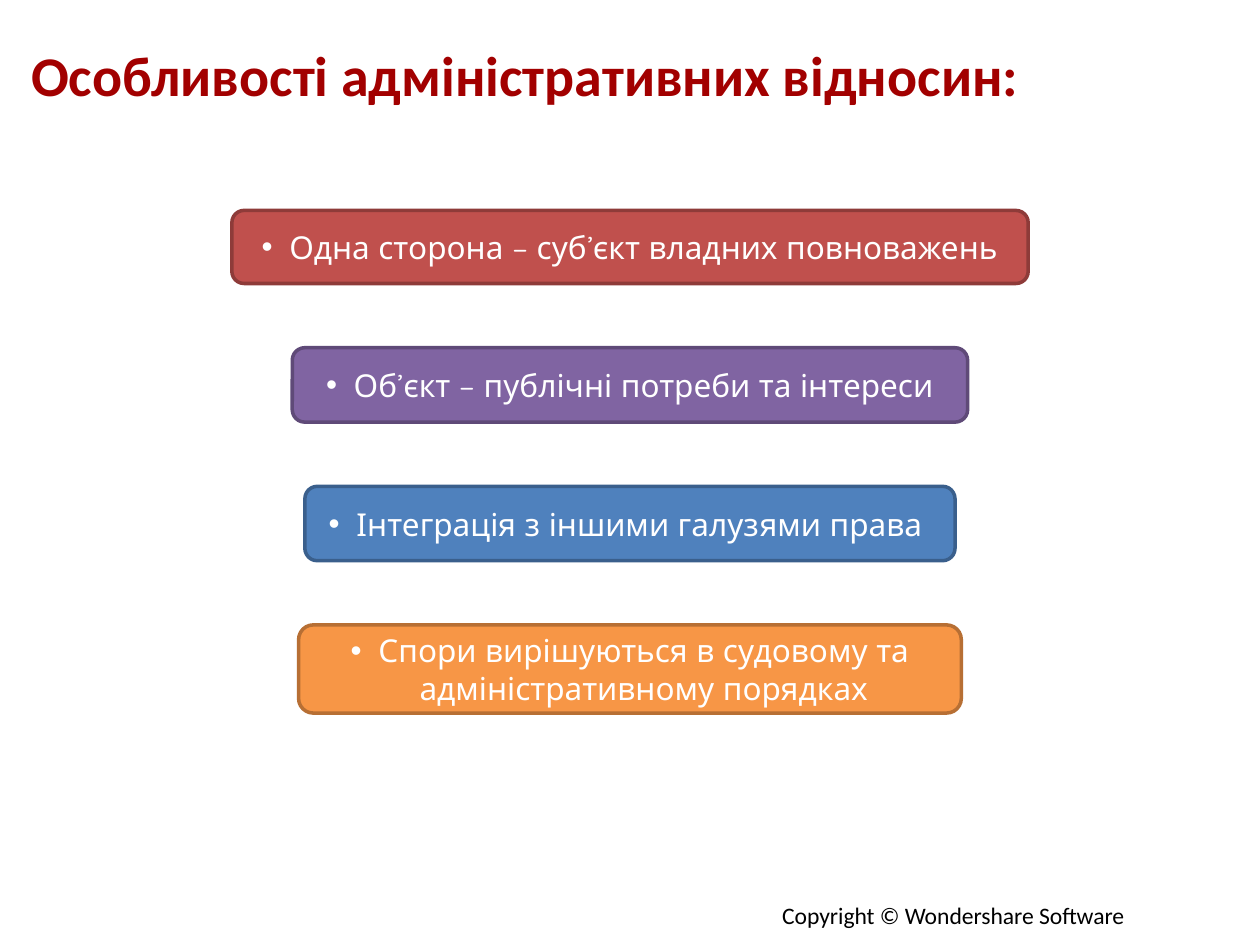
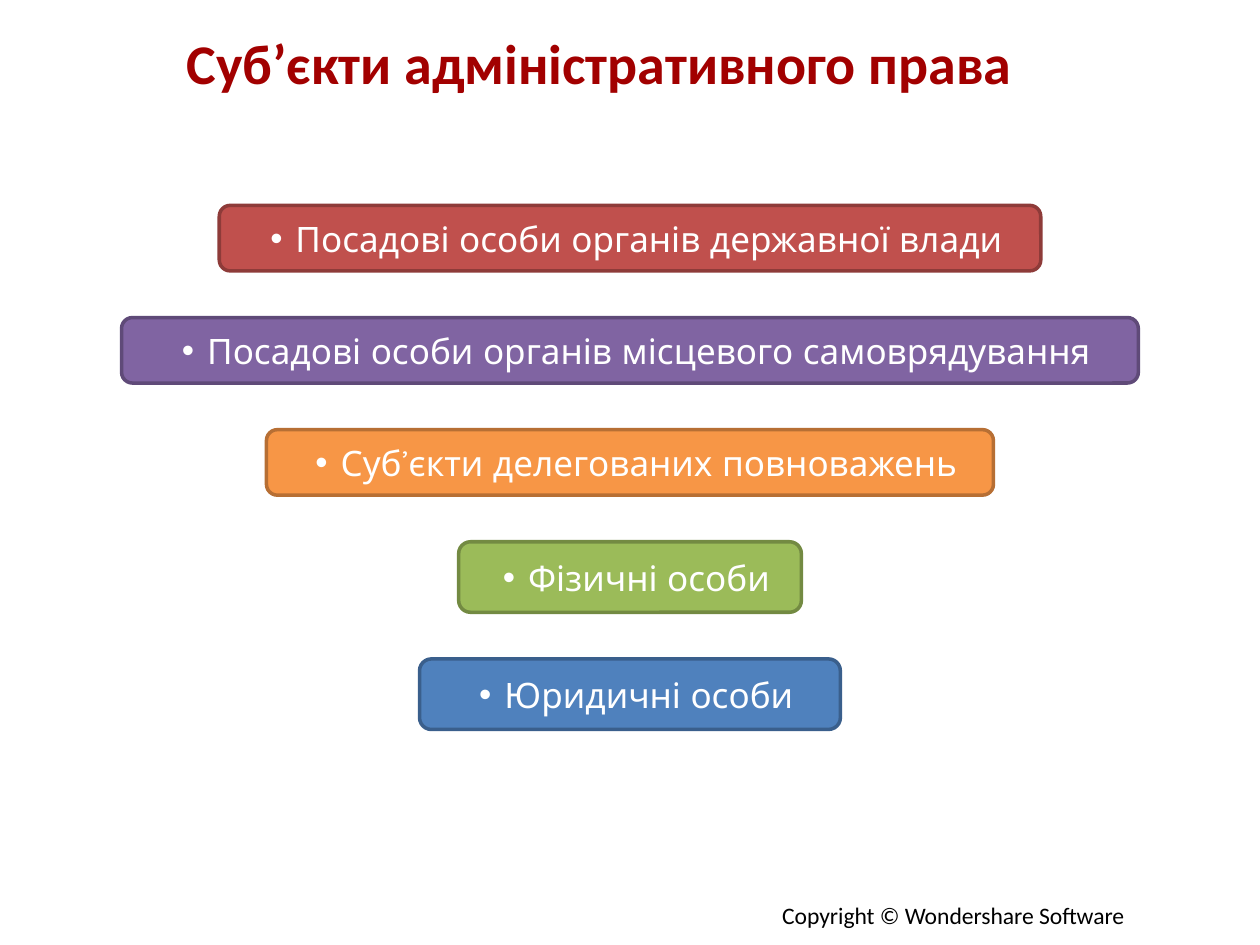
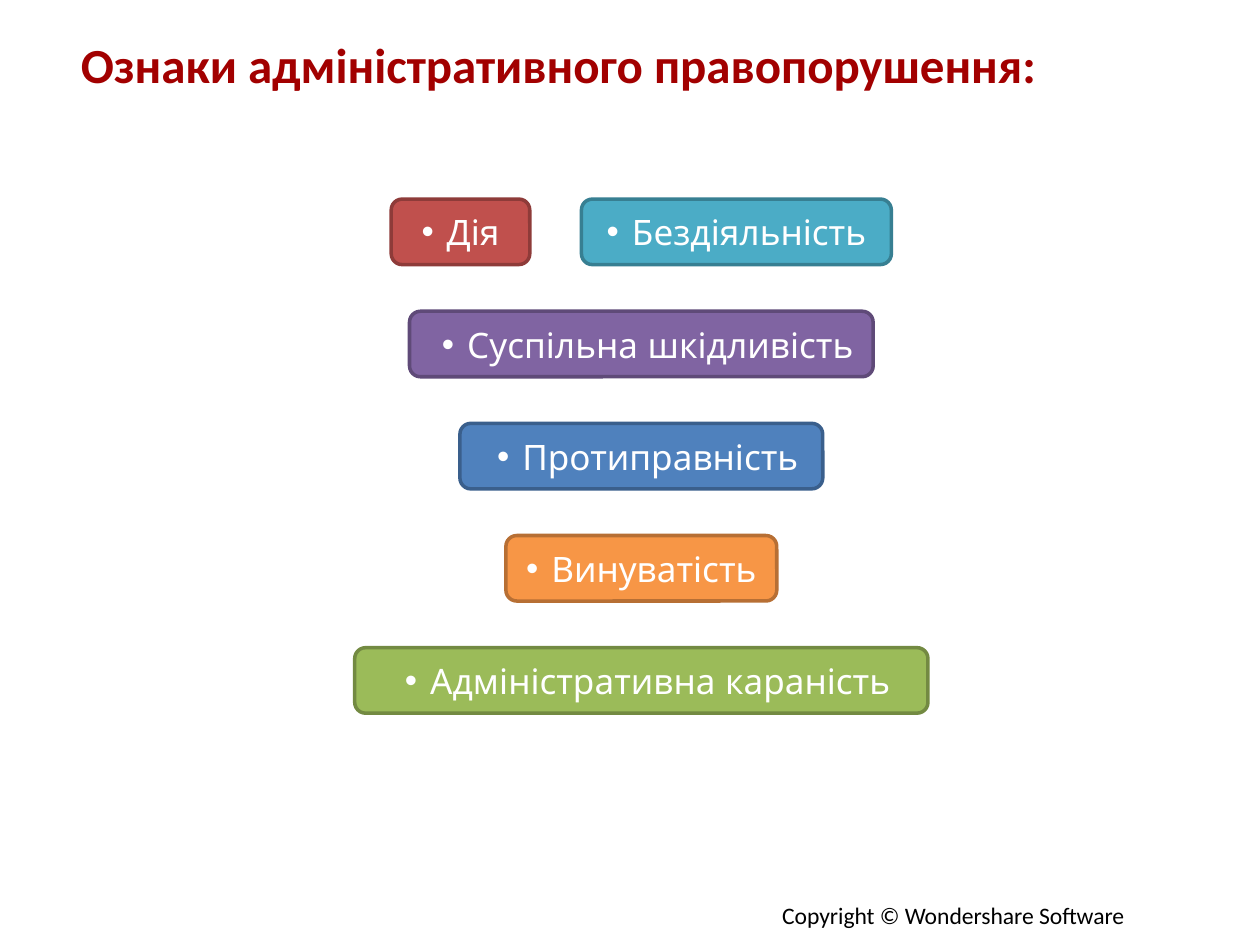
import pptx
import pptx.dml.color
import pptx.enum.shapes
import pptx.enum.text
import pptx.oxml.ns
import pptx.util
from lxml import etree

Inches = pptx.util.Inches
CENTER = pptx.enum.text.PP_ALIGN.CENTER
MIDDLE = pptx.enum.text.MSO_ANCHOR.MIDDLE

# Shared look: fill and outline of each bar colour
TITLE_RED = "A20000"
RED = ("C0504D", "8E3B39")
PURPLE = ("8064A2", "5F4A78")
BLUE = ("4F81BD", "3A5F8C")
ORANGE = ("F79646", "B76F34")
GREEN = ("9BBB59", "738A42")
TEAL = ("4BACC6", "377F92")
SIDE_GAP = 0.41


def color(value):
    return pptx.dml.color.RGBColor.from_string(value)


def add_text(para, text, font, size, text_color, bold=False):
    span = para.add_run()
    span.text = text
    span.font.name = font
    span.font.size = pptx.util.Pt(size)
    span.font.bold = bold
    span.font.color.rgb = color(text_color)


# Each row is (height, bars); each bar is (width, colours, left indent, text)
slides = [
    {
        "title": "Особливості адміністративних відносин:",
        "title_box": (-0.4, 0.25, 9.14, 0.68), "title_size": 32,
        "center": 5, "top": 1.67, "gap": 0.51, "size": 18, "hanging": 0.22,
        "rows": [
            (0.58, [(6.32, RED, 0.22, "Одна сторона – суб’єкт владних повноважень")]),
            (0.59, [(5.36, PURPLE, 0.22, "Об’єкт – публічні потреби та інтереси")]),
            (0.59, [(5.16, BLUE, 0.22, "Інтеграція з іншими галузями права ")]),
            (0.7, [(5.26, ORANGE, 0.22,
                    "Спори вирішуються в судовому та адміністративному порядках")]),
        ],
    },
    {
        "title": "Суб’єкти адміністративного права",
        "title_box": (0.2, 0.15, 9.12, 0.68), "title_size": 32,
        "center": 5, "top": 1.63, "gap": 0.37, "size": 20, "hanging": 0.2,
        "rows": [
            (0.52, [(6.52, RED, 0.3, "Посадові особи органів державної влади")]),
            (0.52, [(8.07, PURPLE, 0.3, "Посадові особи органів місцевого самоврядування")]),
            (0.52, [(5.77, ORANGE, 0.3, "Суб’єкти делегованих повноважень")]),
            (0.56, [(2.72, GREEN, 0.3, "Фізичні особи")]),
            (0.56, [(3.34, BLUE, 0.3, "Юридичні особи")]),
        ],
    },
    {
        "title": "Ознаки адміністративного правопорушення:",
        "title_box": (0.3, 0.15, 8.26, 0.71), "title_size": 28,
        "center": 5.09, "top": 1.58, "gap": 0.37, "size": 20, "hanging": 0.2,
        "rows": [
            (0.52, [(1.1, RED, 0.2, "Дія"), (2.46, TEAL, 0.2, "Бездіяльність")]),
            (0.52, [(3.68, PURPLE, 0.3, "Суспільна шкідливість")]),
            (0.52, [(2.88, BLUE, 0.3, "Протиправність")]),
            (0.52, [(2.15, ORANGE, 0.2, "Винуватість")]),
            (0.52, [(4.55, GREEN, 0.3, "Адміністративна караність")]),
        ],
    },
]

deck = pptx.Presentation()
deck.slide_width = Inches(10)
deck.slide_height = Inches(7.5)

for content in slides:
    page = deck.slides.add_slide(deck.slide_layouts[6])

    # Footer
    box = page.shapes.add_textbox(Inches(6.11), Inches(7.1), Inches(2.97), Inches(0.33))
    box.text_frame.word_wrap = False
    add_text(box.text_frame.paragraphs[0], "Copyright © Wondershare Software",
             "Calibri", 13.5, "000000")

    # Title
    box = page.shapes.add_textbox(*[Inches(length) for length in content["title_box"]])
    box.text_frame.word_wrap = True
    box.text_frame.vertical_anchor = MIDDLE
    para = box.text_frame.paragraphs[0]
    para.alignment = CENTER
    add_text(para, content["title"], "Calibri", content["title_size"], TITLE_RED, bold=True)

    # Rows of bars, each row centred on the same axis
    top = content["top"]
    for height, bars in content["rows"]:
        row_width = sum(bar[0] for bar in bars) + SIDE_GAP * (len(bars) - 1)
        left = content["center"] - row_width / 2
        for width, (fill, outline), indent, text in bars:
            bar = page.shapes.add_shape(
                pptx.enum.shapes.MSO_SHAPE.ROUNDED_RECTANGLE,
                Inches(left), Inches(top), Inches(width), Inches(height))
            bar.shadow.inherit = False
            bar.fill.solid()
            bar.fill.fore_color.rgb = color(fill)
            bar.line.color.rgb = color(outline)
            bar.line.width = pptx.util.Pt(2)
            bar.text_frame.word_wrap = True
            bar.text_frame.vertical_anchor = MIDDLE

            # Bulleted label with a hanging indent
            para = bar.text_frame.paragraphs[0]
            para.alignment = CENTER
            properties = para._p.get_or_add_pPr()
            properties.set("marL", str(Inches(indent)))
            properties.set("indent", str(-Inches(content["hanging"])))
            bullet_font = etree.SubElement(properties, pptx.oxml.ns.qn("a:buFont"))
            bullet_font.set("typeface", "Arial")
            bullet = etree.SubElement(properties, pptx.oxml.ns.qn("a:buChar"))
            bullet.set("char", "•")
            add_text(para, text, "Quicksand", content["size"], "FFFFFF")
            left += width + SIDE_GAP
        top += height + content["gap"]

deck.save("out.pptx")
